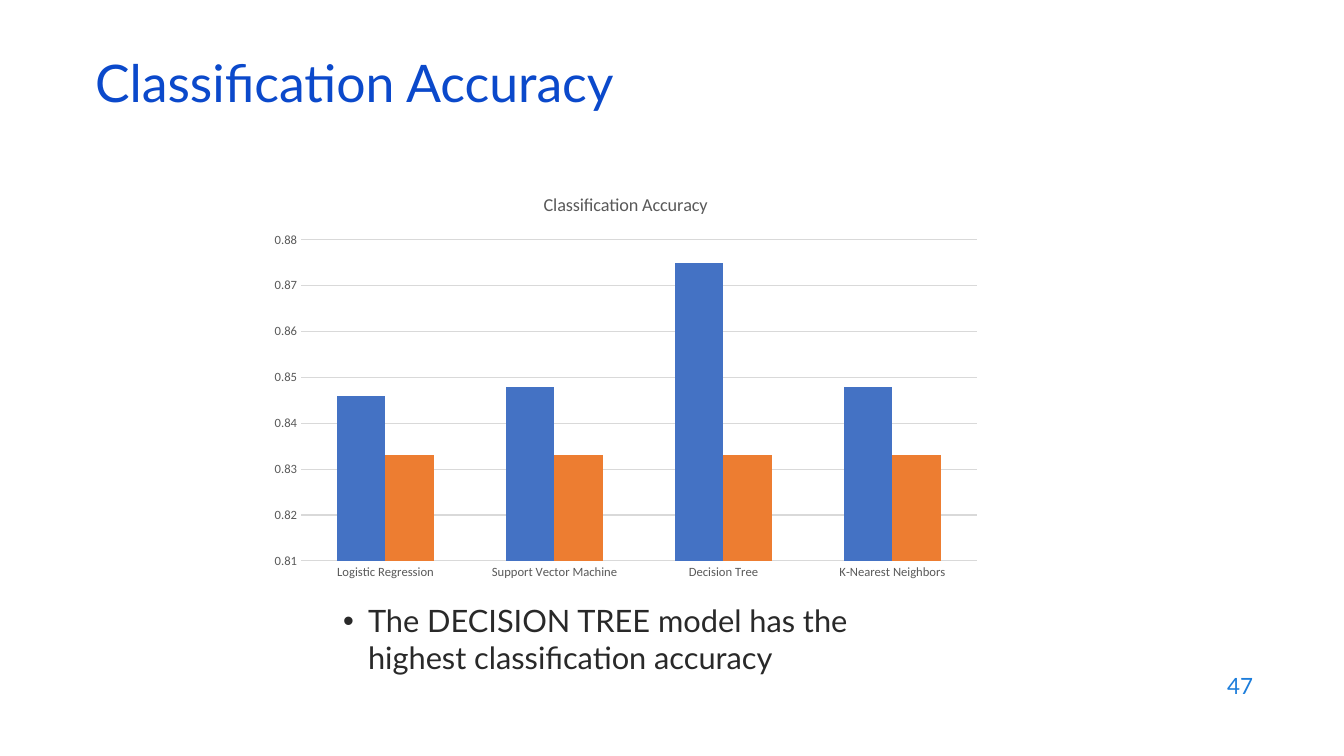
import pptx
import pptx.chart.data
import pptx.dml.color
import pptx.enum.chart
import pptx.enum.text
import pptx.oxml
import pptx.oxml.ns
import pptx.util

THEME = {
    "heading": ("Lato", 37, "0B49CB"),
    "bullet": ("Lato", 22, "292929"),
    "number": ("Lato", 16, "1C7DDB"),
    "chart_title": ("Calibri", 13, "595959"),
    "axis": ("Calibri", 9, "595959"),
    "grid": "D9D9D9",
    "series": ("4472C4", "ED7D31"),
}
EMU_PER_PX = 914400 / 100.8


def px(*lengths):
    """Turn pixel lengths into a list of EMU lengths."""
    return [pptx.util.Emu(round(length * EMU_PER_PX)) for length in lengths]


def style_font(font, role):
    name, size, color = THEME[role]
    font.name = name
    font.size = pptx.util.Pt(size)
    font.bold = False
    font.color.rgb = pptx.dml.color.RGBColor.from_string(color)


presentation = pptx.Presentation()
presentation.slide_width, presentation.slide_height = px(1344, 756)
slide = presentation.slides.add_slide(presentation.slide_layouts[1])

# Title, bullet and slide number
title = slide.shapes.title
body = slide.placeholders[1]
number = slide.shapes.add_textbox(*px(961, 664, 302, 44))
align = pptx.enum.text.PP_ALIGN
anchor = pptx.enum.text.MSO_ANCHOR
texts = [
    (title, (85, 59, 1159, 60), "Classification Accuracy", "heading",
     align.LEFT, anchor.MIDDLE, 0.7),
    (body, (333, 597, 587, 100),
     "The DECISION TREE model has the highest classification accuracy", "bullet",
     align.LEFT, anchor.TOP, 1.0),
    (number, (961, 664, 302, 44), "47", "number", align.RIGHT, anchor.MIDDLE, 1.0),
]
for shape, box, text, role, alignment, vertical, line_spacing in texts:
    shape.left, shape.top, shape.width, shape.height = px(*box)
    frame = shape.text_frame
    frame.text = text
    frame.word_wrap = True
    frame.auto_size = pptx.enum.text.MSO_AUTO_SIZE.NONE
    frame.vertical_anchor = vertical
    paragraph = frame.paragraphs[0]
    paragraph.alignment = alignment
    paragraph.line_spacing = line_spacing
    paragraph.space_before = pptx.util.Pt(0)
    style_font(paragraph.runs[0].font, role)

bullet_properties = body.text_frame.paragraphs[0]._p.get_or_add_pPr()
indent = px(25)[0]
bullet_properties.set("marL", str(indent))
bullet_properties.set("indent", str(-indent))
bullet_properties.append(pptx.oxml.parse_xml(
    f'<a:buFont {pptx.oxml.ns.nsdecls("a")} typeface="Arial"/>'))
bullet_properties.append(pptx.oxml.parse_xml(
    f'<a:buChar {pptx.oxml.ns.nsdecls("a")} char="•"/>'))

# Accuracy chart
chart_data = pptx.chart.data.CategoryChartData()
chart_data.categories = ["Logistic Regression", "Support Vector Machine",
                         "Decision Tree", "K-Nearest Neighbors"]
chart_data.add_series("Series 1", (0.846, 0.848, 0.875, 0.848))
chart_data.add_series("Series 2", (0.833, 0.833, 0.833, 0.833))
chart_left, chart_top, chart_width, chart_height = 260, 176, 731, 411
chart = slide.shapes.add_chart(
    pptx.enum.chart.XL_CHART_TYPE.COLUMN_CLUSTERED,
    *px(chart_left, chart_top, chart_width, chart_height), chart_data).chart
style_font(chart.font, "axis")
chart.has_legend = False
chart.has_title = True
chart.chart_title.include_in_layout = False
chart.chart_title.text_frame.text = "Classification Accuracy"
style_font(chart.chart_title.text_frame.paragraphs[0].runs[0].font, "chart_title")

plot = chart.plots[0]
plot.gap_width = 150
plot.overlap = 0
plot.vary_by_categories = False
for series, color in zip(plot.series, THEME["series"]):
    series.format.fill.solid()
    series.format.fill.fore_color.rgb = pptx.dml.color.RGBColor.from_string(color)

for axis in (chart.category_axis, chart.value_axis):
    axis.major_tick_mark = pptx.enum.chart.XL_TICK_MARK.NONE
    axis.minor_tick_mark = pptx.enum.chart.XL_TICK_MARK.NONE
    axis.format.line.fill.background()
    style_font(axis.tick_labels.font, "axis")
value_axis = chart.value_axis
value_axis.minimum_scale = 0.81
value_axis.maximum_scale = 0.88
value_axis.major_unit = 0.01
value_axis.tick_labels.number_format = "0.00"
value_axis.tick_labels.number_format_is_linked = False
value_axis.has_major_gridlines = True
grid_line = value_axis.major_gridlines.format.line
grid_line.width = pptx.util.Pt(0.75)
grid_line.color.rgb = pptx.dml.color.RGBColor.from_string(THEME["grid"])

# Inner plot area, as fractions of the chart
plot_area = chart._chartSpace.chart.plotArea
for old_layout in plot_area.findall(pptx.oxml.ns.qn("c:layout")):
    plot_area.remove(old_layout)
fractions = {"x": (301 - chart_left) / chart_width, "y": (240 - chart_top) / chart_height,
             "w": 676 / chart_width, "h": 321 / chart_height}
modes = '<c:layoutTarget val="inner"/><c:xMode val="edge"/><c:yMode val="edge"/>'
sizes = "".join(f'<c:{key} val="{value:.4f}"/>' for key, value in fractions.items())
plot_area.insert(0, pptx.oxml.parse_xml(
    f'<c:layout {pptx.oxml.ns.nsdecls("c")}><c:manualLayout>{modes}{sizes}'
    '</c:manualLayout></c:layout>'))

presentation.save("out.pptx")
